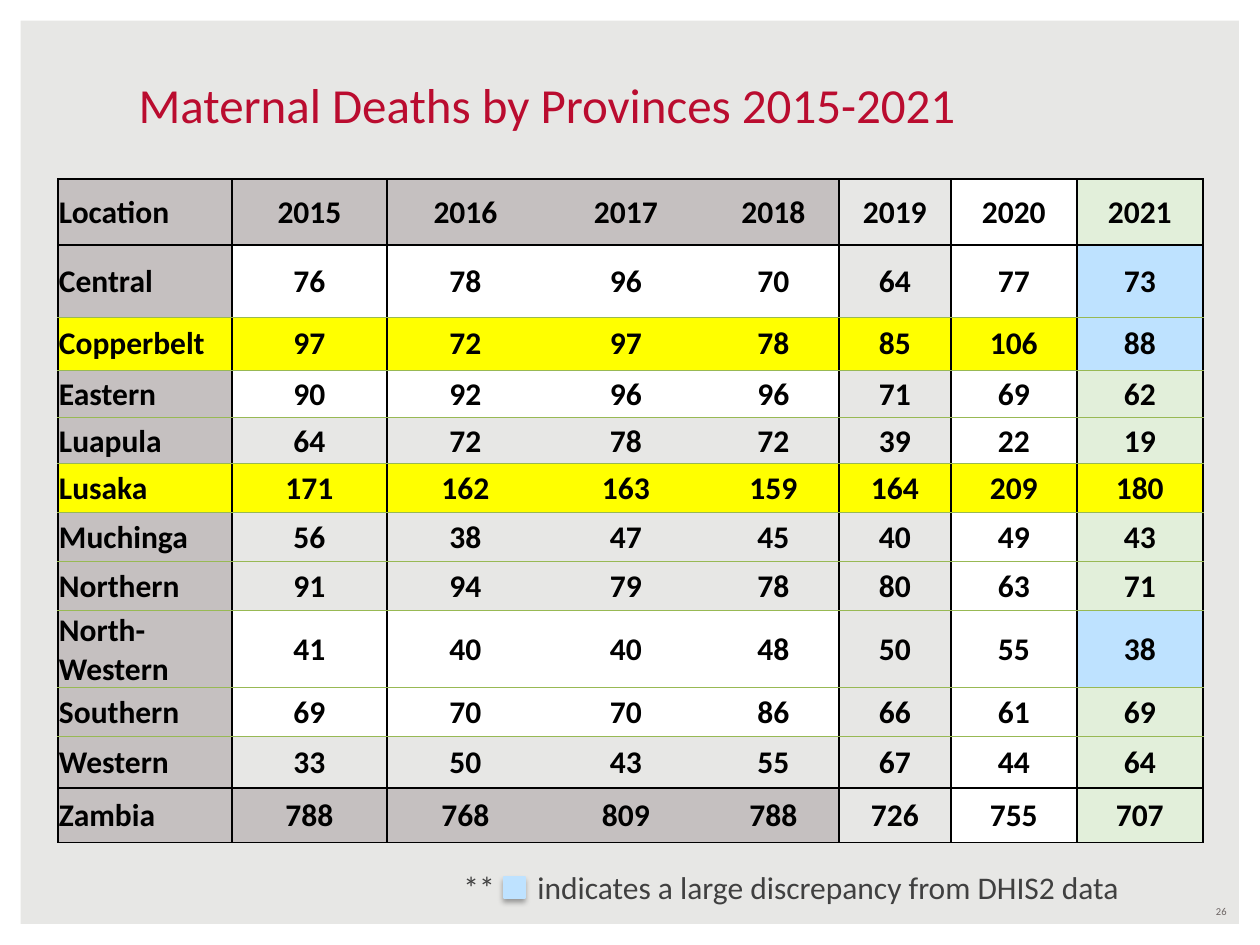
import pptx
import pptx.util
import pptx.oxml
import pptx.oxml.ns
from pptx.dml.color import RGBColor
from pptx.enum.shapes import MSO_SHAPE
from pptx.enum.text import MSO_ANCHOR, PP_ALIGN

PX = 914400 / 126
PAPER = RGBColor(0xE7, 0xE7, 0xE5)
WHITE = RGBColor(0xFF, 0xFF, 0xFF)
BLACK = RGBColor(0, 0, 0)
CRIMSON = RGBColor(0xBA, 0x0C, 0x2F)
GREY = RGBColor(0xC5, 0xC0, 0xC0)
DARK_GREY = RGBColor(0x40, 0x40, 0x40)
NUMBER_GREY = RGBColor(0x6C, 0x64, 0x63)
YELLOW = RGBColor(0xFF, 0xFF, 0x00)
MINT = RGBColor(0xE2, 0xEF, 0xDA)
SKY = RGBColor(0xBE, 0xE2, 0xFF)
RULE_GREEN = RGBColor(0x98, 0xB9, 0x54)
NAMESPACE = pptx.oxml.ns.nsdecls("a")
NO_STYLE = "{2D5ABB26-0587-4C30-8999-92F81FD0307C}"

DEATHS = [
    ("Location", 2015, 2016, 2017, 2018, 2019, 2020, 2021),
    ("Central", 76, 78, 96, 70, 64, 77, 73),
    ("Copperbelt", 97, 72, 97, 78, 85, 106, 88),
    ("Eastern", 90, 92, 96, 96, 71, 69, 62),
    ("Luapula", 64, 72, 78, 72, 39, 22, 19),
    ("Lusaka", 171, 162, 163, 159, 164, 209, 180),
    ("Muchinga", 56, 38, 47, 45, 40, 49, 43),
    ("Northern", 91, 94, 79, 78, 80, 63, 71),
    ("North-Western", 41, 40, 40, 48, 50, 55, 38),
    ("Southern", 69, 70, 70, 86, 66, 61, 69),
    ("Western", 33, 50, 43, 55, 67, 44, 64),
    ("Zambia", 788, 768, 809, 788, 726, 755, 707),
]
COLUMN_WIDTHS = [174, 155, 157, 164, 131, 112, 126, 126]
ROW_HEIGHTS = [66, 72, 53, 48, 46, 49, 49, 49, 54, 49, 52, 54]
LAST_ROW = len(DEATHS) - 1
HIGHLIGHTED = {"Copperbelt", "Lusaka"}
DISCREPANT = {"Central", "Copperbelt", "North-Western"}
WHITE_ROWS = {"Central", "Eastern", "North-Western", "Southern"}

# Rules by edge index: (colour, points); edges left out carry no line
ROW_RULES = {edge: (RULE_GREEN, 0.5) for edge in range(2, LAST_ROW)}
ROW_RULES.update({0: (BLACK, 1), 1: (BLACK, 1.5),
                  LAST_ROW: (BLACK, 1.5), LAST_ROW + 1: (BLACK, 1)})
COLUMN_RULES = {edge: (BLACK, 1) for edge in (0, 5, 6, 7, 8)}
COLUMN_RULES[1] = (BLACK, 1.5)


def px(*lengths):
    return [pptx.util.Emu(round(length * PX)) for length in lengths]


def write(text_frame, text, size, color, bold=False, align=PP_ALIGN.LEFT):
    para = text_frame.paragraphs[0]
    para.alignment = align
    span = para.add_run()
    span.text = text
    span.font.color.rgb = color
    font_format = {"name": "Calibri", "size": pptx.util.Pt(size), "bold": bold}
    for name, value in font_format.items():
        setattr(span.font, name, value)


deck = pptx.Presentation()
deck.slide_width, deck.slide_height = px(1260, 945)
page = deck.slides.add_slide(deck.slide_layouts[5])
page.background.fill.solid()
page.background.fill.fore_color.rgb = PAPER

# White border, behind everything else
border = page.shapes.add_shape(MSO_SHAPE.FRAME, *px(0, 0, 1260, 945))
border.adjustments[0] = 0.022
border.shadow.inherit = False
border.fill.solid()
border.fill.fore_color.rgb = WHITE
border.line.fill.background()
border.element.getparent().insert(2, border.element)

title = page.shapes.title
title.left, title.top, title.width, title.height = px(126, 68, 1071, 72)
title.text_frame.vertical_anchor = MSO_ANCHOR.BOTTOM
write(title.text_frame, "Maternal Deaths by Provinces 2015-2021", 28, CRIMSON)

number_box = page.shapes.add_textbox(*px(945, 898, 294, 26))
number_box.text_frame.word_wrap = True
number_box.text_frame.vertical_anchor = MSO_ANCHOR.MIDDLE
write(number_box.text_frame, "26", 6, NUMBER_GREY, align=PP_ALIGN.RIGHT)

# Deaths by province and year
graphic = page.shapes.add_table(
    len(DEATHS), len(COLUMN_WIDTHS),
    *px(58, 179, sum(COLUMN_WIDTHS), sum(ROW_HEIGHTS)))
table = graphic.table
table.first_row = table.horz_banding = False
graphic.element.find(".//" + pptx.oxml.ns.qn("a:tableStyleId")).text = NO_STYLE
for column, width in zip(table.columns, px(*COLUMN_WIDTHS)):
    column.width = width
for row, height in zip(table.rows, px(*ROW_HEIGHTS)):
    row.height = height

inset, no_inset = px(1, 0)
cell_format = {"margin_left": inset, "margin_right": inset, "margin_top": inset,
               "margin_bottom": no_inset, "vertical_anchor": MSO_ANCHOR.MIDDLE}
for r, record in enumerate(DEATHS):
    province = record[0]
    for c, value in enumerate(record):
        cell = table.cell(r, c)
        for name, setting in cell_format.items():
            setattr(cell, name, setting)
        write(cell.text_frame, str(value), 18, BLACK, bold=True,
              align=PP_ALIGN.CENTER if c else PP_ALIGN.LEFT)

        rules = {"lnL": COLUMN_RULES.get(c), "lnR": COLUMN_RULES.get(c + 1),
                 "lnT": ROW_RULES[r], "lnB": ROW_RULES[r + 1]}
        properties = cell._tc.get_or_add_tcPr()
        for tag, rule in rules.items():
            if rule:
                color, points = rule
                properties.append(pptx.oxml.parse_xml(
                    f'<a:{tag} {NAMESPACE} w="{pptx.util.Pt(points)}"><a:solidFill>'
                    f'<a:srgbClr val="{color}"/></a:solidFill></a:{tag}>'))

        if c == 7 and province in DISCREPANT:
            fill = SKY
        elif province in HIGHLIGHTED:
            fill = YELLOW
        elif c >= 5:
            fill = {5: None, 6: WHITE, 7: MINT}[c]
        elif c == 0 or r in (0, LAST_ROW):
            fill = GREY
        else:
            fill = WHITE if province in WHITE_ROWS else None
        if fill is None:
            cell.fill.background()
        else:
            cell.fill.solid()
            cell.fill.fore_color.rgb = fill

# Key: the tab leaves room for the swatch
key_box = page.shapes.add_textbox(*px(451, 862, 766, 50))
key_box.text_frame.word_wrap = True
key_tab = px(74)[0]
key_box.text_frame.paragraphs[0]._p.get_or_add_pPr().append(pptx.oxml.parse_xml(
    f'<a:tabLst {NAMESPACE}><a:tab pos="{key_tab}" algn="l"/></a:tabLst>'))
write(key_box.text_frame, "**\tindicates a large discrepancy from DHIS2 data",
      18, DARK_GREY)

swatch = page.shapes.add_shape(MSO_SHAPE.RECTANGLE, *px(504, 877, 21, 21))
swatch.fill.solid()
swatch.fill.fore_color.rgb = SKY
swatch.line.color.rgb = SKY
swatch.line.width = pptx.util.Pt(0.75)
swatch.element.spPr.append(pptx.oxml.parse_xml(
    f'<a:effectLst {NAMESPACE}><a:outerShdw blurRad="{pptx.util.Pt(3.1)}" '
    f'dist="{pptx.util.Pt(1.8)}" dir="5400000" rotWithShape="0">'
    '<a:srgbClr val="000000"><a:alpha val="35000"/></a:srgbClr>'
    '</a:outerShdw></a:effectLst>'))

deck.save("out.pptx")
